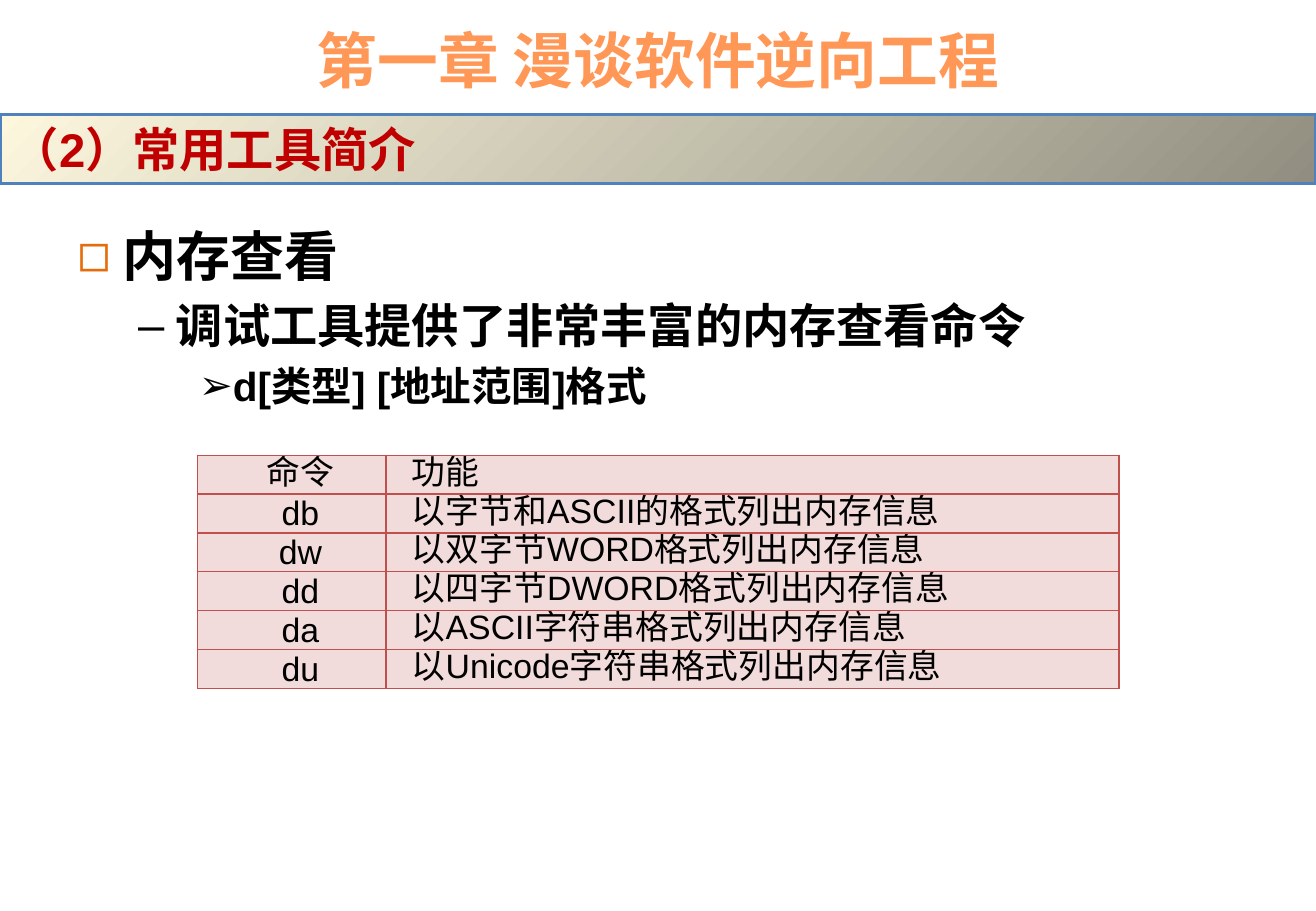
"""Build the memory-viewing commands slide."""
from lxml.etree import SubElement
from pptx import Presentation
from pptx.dml.color import RGBColor
from pptx.enum.shapes import MSO_SHAPE
from pptx.enum.text import MSO_ANCHOR, PP_ALIGN
from pptx.oxml.ns import qn
from pptx.util import Cm, Pt

TITLE = "第一章 漫谈软件逆向工程"
SECTION = "（2）常用工具简介"
OUTLINE = [
    dict(text="内存查看", size=32, bullet="◻", color="E46C0A", left=0.95, hang=0.95),
    dict(text="调试工具提供了非常丰富的内存查看命令", size=28, bullet="–", color="000000",
         left=2.06, hang=0.79),
    dict(text="d[类型] [地址范围]格式", size=24, bullet="➢", color="000000",
         left=3.18, hang=0.64),
]
COMMANDS = [
    ("命令", "功能"),
    ("db", "以字节和ASCII的格式列出内存信息"),
    ("dw", "以双字节WORD格式列出内存信息"),
    ("dd", "以四字节DWORD格式列出内存信息"),
    ("da", "以ASCII字符串格式列出内存信息"),
    ("du", "以Unicode字符串格式列出内存信息"),
]
THEME = dict(
    font="Arial", text="000000", title="FF9856", section="C00000",
    band=("FCF7DD", "918E81"), band_line="4F81BD",
    cell="F2DCDB", grid="C0504D",
    title_size=36, section_size=28, cell_size=20, cell_leading=23,
)
COLUMNS = [(3.94, PP_ALIGN.CENTER), (15.32, PP_ALIGN.JUSTIFY)]
ROW_HEIGHT = 0.81


def rgb(color):
    return RGBColor.from_string(color)


def write(p, text, *, size, color=THEME["text"], bold=True, align=None):
    r = p.add_run()
    r.text = text
    r.font.name = THEME["font"]
    r.font.size = Pt(size)
    r.font.bold = bold
    r.font.color.rgb = rgb(color)
    p.alignment = align


def indent(p, left, first):
    pPr = p._p.get_or_add_pPr()
    pPr.set("marL", str(Cm(left)))
    pPr.set("indent", str(Cm(first)))
    return pPr


def add_box(s, left, top, width, height, anchor):
    tf = s.shapes.add_textbox(Cm(left), Cm(top), Cm(width), Cm(height)).text_frame
    tf.word_wrap = True
    tf.vertical_anchor = anchor
    return tf


def add_outline(s):
    tf = add_box(s, 1.37, 4.52, 24.77, 13.21, MSO_ANCHOR.TOP)
    for level, item in enumerate(OUTLINE):
        p = tf.add_paragraph() if level else tf.paragraphs[0]
        p.level = level
        if level:
            p.space_before = Pt(item["size"] * 0.2)
        pPr = indent(p, item["left"], -item["hang"])
        SubElement(SubElement(pPr, qn("a:buClr")), qn("a:srgbClr"), val=item["color"])
        SubElement(pPr, qn("a:buFont"), typeface=THEME["font"])
        SubElement(pPr, qn("a:buChar"), char=item["bullet"])
        write(p, item["text"], size=item["size"])


def add_band(s, width):
    sp = s.shapes.add_shape(MSO_SHAPE.RECTANGLE, 0, Cm(2.39), width, Cm(1.45))
    sp.shadow.inherit = False
    sp.fill.gradient()
    sp.fill.gradient_angle = 315
    for stop, color in zip(sp.fill.gradient_stops, THEME["band"]):
        stop.color.rgb = rgb(color)
    sp.line.color.rgb = rgb(THEME["band_line"])
    sp.line.width = Pt(2)
    tf = sp.text_frame
    tf.word_wrap = True
    tf.vertical_anchor = MSO_ANCHOR.MIDDLE
    write(tf.paragraphs[0], SECTION, size=THEME["section_size"],
          color=THEME["section"], align=PP_ALIGN.LEFT)


def style_cell(cell):
    cell.margin_left = cell.margin_right = Cm(0.18)
    cell.margin_top = cell.margin_bottom = 0
    tcPr = cell._tc.get_or_add_tcPr()
    for side in ("lnL", "lnR", "lnT", "lnB"):
        ln = SubElement(tcPr, qn(f"a:{side}"), w=str(Pt(1)))
        SubElement(SubElement(ln, qn("a:solidFill")), qn("a:srgbClr"), val=THEME["grid"])
    cell.fill.solid()
    cell.fill.fore_color.rgb = rgb(THEME["cell"])


def add_commands(s):
    width = sum(w for w, _ in COLUMNS)
    table = s.shapes.add_table(len(COMMANDS), len(COLUMNS), Cm(4.13), Cm(9.52),
                               Cm(width), Cm(ROW_HEIGHT * len(COMMANDS))).table
    table.first_row = table.horz_banding = False
    for column, (w, _) in zip(table.columns, COLUMNS):
        column.width = Cm(w)
    for row, texts in zip(table.rows, COMMANDS):
        row.height = Cm(ROW_HEIGHT)
        for cell, text, (_, align) in zip(row.cells, texts, COLUMNS):
            style_cell(cell)
            p = cell.text_frame.paragraphs[0]
            p.line_spacing = Pt(THEME["cell_leading"])
            indent(p, 0, 0.36)
            write(p, text, size=THEME["cell_size"], bold=False, align=align)


def main():
    prs = Presentation()
    prs.slide_width, prs.slide_height = Cm(27.51), Cm(19.05)
    s = prs.slides.add_slide(prs.slide_layouts[6])
    tf = add_box(s, 1.37, 0.33, 24.77, 1.8, MSO_ANCHOR.MIDDLE)
    write(tf.paragraphs[0], TITLE, size=THEME["title_size"],
          color=THEME["title"], align=PP_ALIGN.CENTER)
    add_outline(s)
    add_band(s, prs.slide_width)
    add_commands(s)
    prs.save("out.pptx")


if __name__ == "__main__":
    main()
